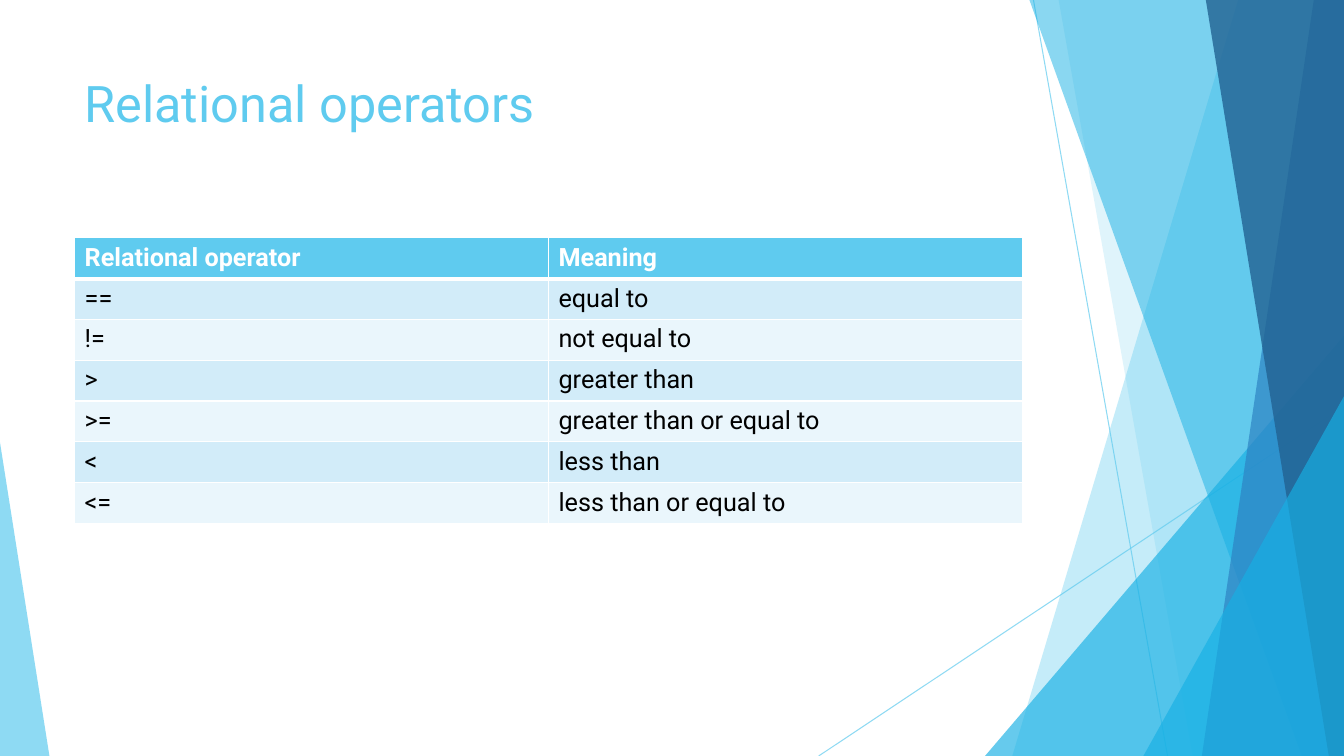
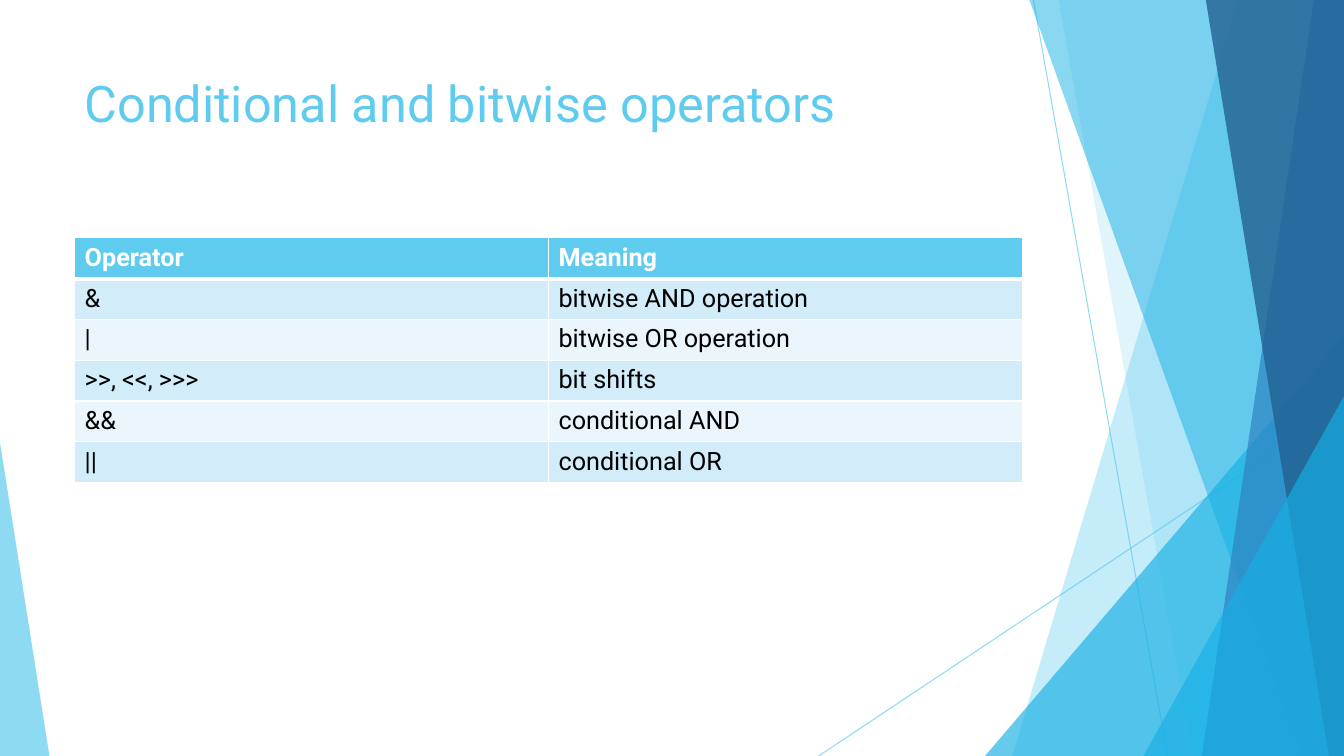
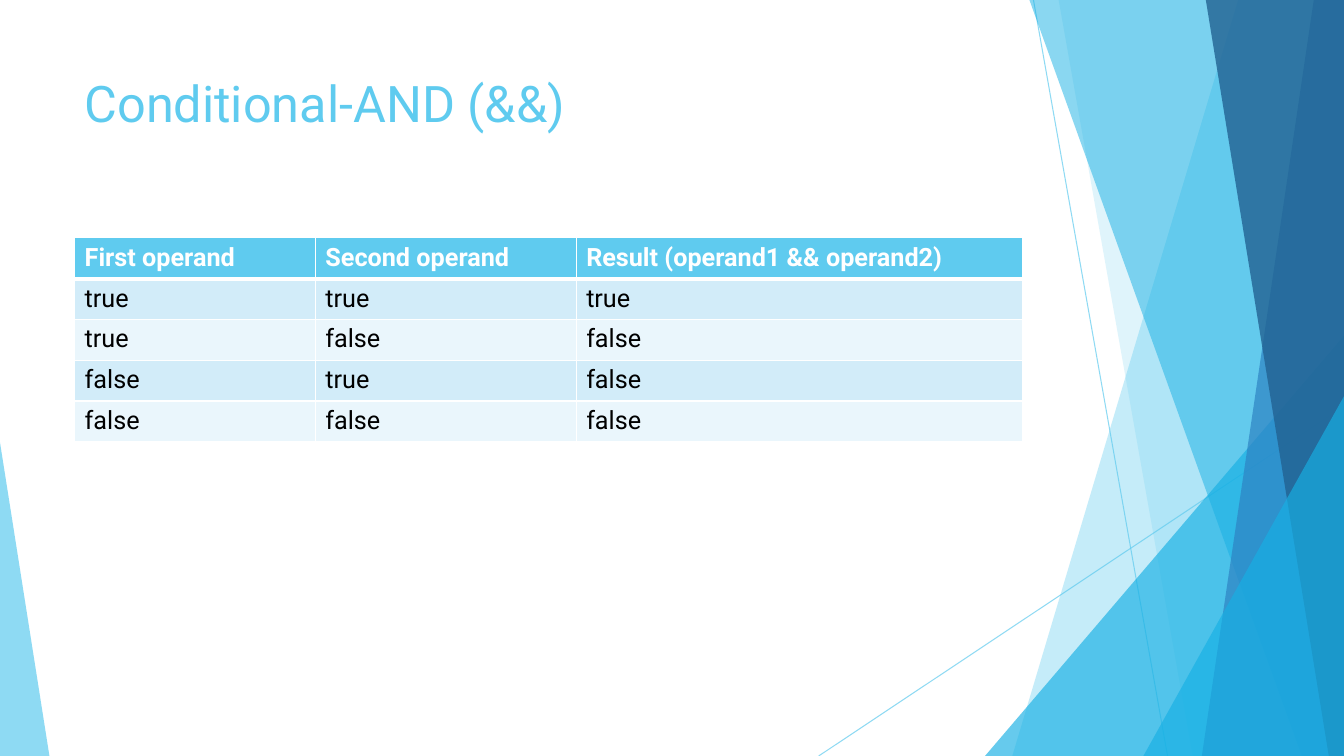
import pptx
import pptx.util
import pptx.dml.color
import pptx.enum.shapes
import pptx.oxml.ns
import lxml.etree

Inches = pptx.util.Inches
Pt = pptx.util.Pt
qn = pptx.oxml.ns.qn
SHAPE = pptx.enum.shapes.MSO_SHAPE

HUES = {
    "sky": "5FCBEF",
    "cyan": "17B0E4",
    "blue": "2E83C3",
    "navy": "226292",
    "odd": "D2ECF9",
    "even": "EAF6FC",
    "white": "FFFFFF",
    "black": "000000",
}
FONT = "Roboto"
ROW = 0.405
SIDE = (8.12, 0, 5.21, 7.5)
WEDGE = (0, 4.39, 0.49, 3.11)
HEAD = (0.74, 0.67, 9.4, 1.44)
BODY = (0.74, 2.36, 9.4)


def hue(name):
    return pptx.dml.color.RGBColor.from_string(HUES[name])


def paint(fill, color, alpha=100):
    fill.solid()
    fill.fore_color.rgb = hue(color)
    if alpha < 100:
        node = fill._xPr.find(qn("a:solidFill"))[0]
        lxml.etree.SubElement(node, qn("a:alpha"), val=str(alpha * 1000))


def write(frame, text, size=18, color="black", bold=False):
    frame.word_wrap = True
    run = frame.paragraphs[0].add_run()
    run.text = text
    run.font.name = FONT
    run.font.size = Pt(size)
    run.font.bold = bold
    run.font.color.rgb = hue(color)


def finish(shape, color, alpha):
    shape.shadow.inherit = False
    paint(shape.fill, color, alpha)
    shape.line.fill.background()


def ray(slide, start, end):
    line = slide.shapes.add_connector(
        pptx.enum.shapes.MSO_CONNECTOR.STRAIGHT,
        *[Inches(n) for n in start + end])
    line.line.width = Pt(0.75)
    paint(line.line.fill, "sky", 70)
    lxml.etree.SubElement(line._element.spPr, qn("a:effectLst"))


def blade(slide, box, top, base, color, alpha):
    x, y, w, h = box
    points = [(x + top, y), (x + w, y), (x + w, y + h), (x + base, y + h)]
    points = [(Inches(a), Inches(b)) for a, b in points]
    path = slide.shapes.build_freeform(*points[0])
    path.add_line_segments(points[1:], close=True)
    finish(path.convert_to_shape(), color, alpha)


def wedge(slide, box, tip, color, alpha):
    shape = slide.shapes.add_shape(
        SHAPE.ISOSCELES_TRIANGLE, *[Inches(n) for n in box])
    shape.adjustments[0] = tip
    finish(shape, color, alpha)


def fan(slide, box):
    x, y, w, h = box

    def corner(left, top):
        wedge(slide, (x + left, y + top, w - left, h - top), 1, "cyan", 66)

    ray(slide, (x + 2.13, y), (x + 3.46, y + h))
    ray(slide, (x + w, y + 4.03), (x, y + h))
    blade(slide, box, 4.16, 1.92, "sky", 36)
    blade(slide, box, 2.38, 3.71, "sky", 20)
    corner(1.65, 3.33)
    blade(slide, box, 2.09, 4.79, "cyan", 50)
    blade(slide, box, 4.91, 3.8, "blue", 70)
    blade(slide, box, 3.84, 5.06, "navy", 80)
    corner(3.22, 3.93)


def title(slide, box, text):
    shape = slide.shapes.add_textbox(*[Inches(n) for n in box])
    write(shape.text_frame, text, size=36, color="sky")


def edge(cell, side, width):
    props = cell._tc.get_or_add_tcPr()
    line = lxml.etree.SubElement(
        props, qn("a:ln" + side), w=str(Pt(width)))
    fill = lxml.etree.SubElement(line, qn("a:solidFill"))
    lxml.etree.SubElement(fill, qn("a:srgbClr"), val=HUES["white"])


def grid(slide, box, rows, parts):
    x, y, w = box
    table = slide.shapes.add_table(
        len(rows), len(parts), Inches(x), Inches(y), Inches(w),
        Inches(ROW * len(rows))).table
    for col, part in zip(table.columns, parts):
        col.width = Inches(w * part / sum(parts))
    for r, row in enumerate(rows):
        table.rows[r].height = Inches(ROW)
        top = r == 0
        tint = "sky" if top else "odd" if r % 2 else "even"
        for c, text in enumerate(row):
            cell = table.cell(r, c)
            edge(cell, "L", 1)
            edge(cell, "R", 1)
            edge(cell, "T", 3 if r == 1 else 1)
            edge(cell, "B", 3 if top else 1)
            paint(cell.fill, tint)
            write(cell.text_frame, text, bold=top,
                  color="white" if top else "black")


def page(deck, name, rows, parts):
    slide = deck.slides.add_slide(deck.slide_layouts[6])
    fan(slide, SIDE)
    wedge(slide, WEDGE, 0, "sky", 70)
    title(slide, HEAD, name)
    grid(slide, BODY, rows, parts)


PAGES = [
    ("Relational operators", [
        ("Relational operator", "Meaning"),
        ("==", "equal to"),
        ("!=", "not equal to"),
        (">", "greater than"),
        (">=", "greater than or equal to"),
        ("<", "less than"),
        ("<=", "less than or equal to"),
    ], (1, 1)),
    ("Conditional and bitwise operators", [
        ("Operator", "Meaning"),
        ("&", "bitwise AND operation"),
        ("|", "bitwise OR operation"),
        (">>, <<, >>>", "bit shifts"),
        ("&&", "conditional AND"),
        ("||", "conditional OR"),
    ], (1, 1)),
    ("Conditional-AND (&&)", [
        ("First operand", "Second operand", "Result (operand1 && operand2)"),
        ("true", "true", "true"),
        ("true", "false", "false"),
        ("false", "true", "false"),
        ("false", "false", "false"),
    ], (2.39, 2.59, 4.43)),
]

deck = pptx.Presentation()
deck.slide_width = Inches(13.33)
deck.slide_height = Inches(7.5)
for name, rows, parts in PAGES:
    page(deck, name, rows, parts)
deck.save("out.pptx")
